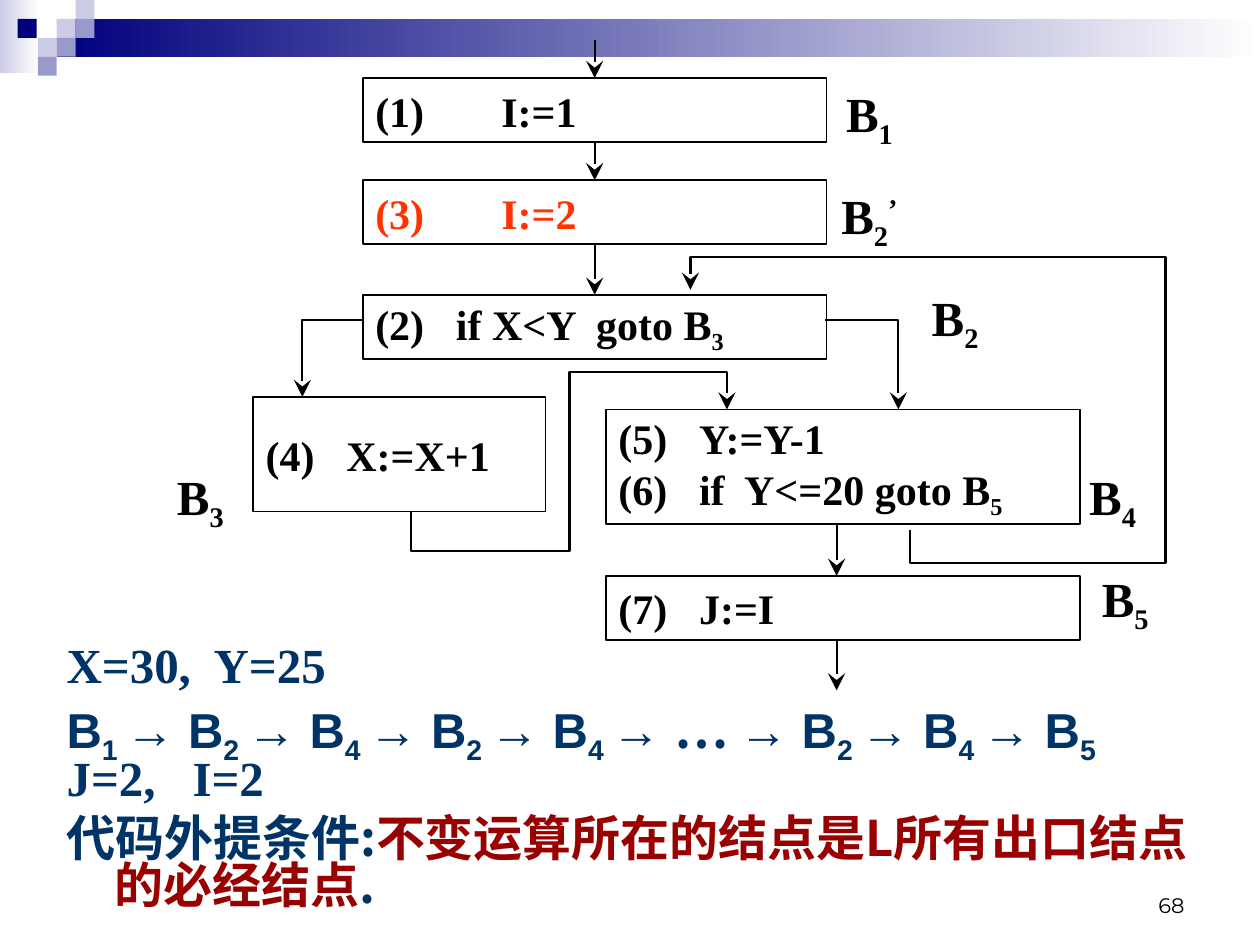
from dataclasses import dataclass

from lxml import etree
from pptx import Presentation
from pptx.dml.color import RGBColor
from pptx.enum.shapes import MSO_CONNECTOR, MSO_SHAPE
from pptx.enum.text import MSO_ANCHOR, PP_ALIGN
from pptx.oxml.ns import qn
from pptx.util import Inches, Pt

RECT, STRAIGHT = MSO_SHAPE.RECTANGLE, MSO_CONNECTOR.STRAIGHT
TOP, MIDDLE, BOTTOM = MSO_ANCHOR.TOP, MSO_ANCHOR.MIDDLE, MSO_ANCHOR.BOTTOM
LEFT, CENTER, RIGHT = PP_ALIGN.LEFT, PP_ALIGN.CENTER, PP_ALIGN.RIGHT
SIDE_TOP, SIDE_BOTTOM = 0, 2

BLACK = RGBColor(0x00, 0x00, 0x00)
WHITE = RGBColor(0xFF, 0xFF, 0xFF)
NAVY = RGBColor(0x00, 0x00, 0x7D)
LILAC = RGBColor(0xCC, 0xCC, 0xE6)
VIOLET = RGBColor(0x99, 0x99, 0xCC)
ORANGE = RGBColor(0xFF, 0x33, 0x00)
TEAL = RGBColor(0x00, 0x33, 0x66)
RED = RGBColor(0x99, 0x00, 0x00)

SERIF, SANS, CJK = "Times New Roman", "Arial", "Noto Sans CJK SC"
NUMBER_FONT = "Montserrat"
SUB, SUPER = -25000, 30000


@dataclass
class Run:
    text: str
    color: RGBColor = BLACK
    font: str = SERIF
    base: int = 0


@dataclass
class Block:
    x: float
    y: float
    w: float
    h: float
    lines: list
    tab: float = 0.64
    color: RGBColor = BLACK


@dataclass
class Label:
    x: float
    y: float
    runs: list


@dataclass
class Note:
    runs: list
    before: float = 7
    hanging: float = 0


def marked(text, color=BLACK, font=SERIF):
    """Split text at bars; every second piece is a subscript."""
    return [Run(piece, color, font, SUB if i % 2 else 0)
            for i, piece in enumerate(text.split("|")) if piece]


def add_runs(p, runs, size, bold=True):
    for item in runs:
        r = p.add_run()
        r.text = item.text
        r.font.size, r.font.bold = Pt(size), bold
        r.font.name, r.font.color.rgb = item.font, item.color
        rPr = r.font._element
        if item.base:
            rPr.set("baseline", str(item.base))
        if item.font == CJK:
            etree.SubElement(rPr, qn("a:ea")).set("typeface", CJK)


def set_tab(p, position):
    tabs = etree.SubElement(p._p.get_or_add_pPr(), qn("a:tabLst"))
    etree.SubElement(tabs, qn("a:tab"), pos=str(Inches(position)), algn="l")


def add_text_box(s, x, y, w, h, anchor, wrap=True):
    tf = s.shapes.add_textbox(Inches(x), Inches(y), Inches(w), Inches(h)).text_frame
    tf.word_wrap, tf.vertical_anchor = wrap, anchor
    return tf


def add_label(s, label):
    tf = add_text_box(s, label.x, label.y, 0.52, 0.61, MIDDLE, wrap=False)
    tf.margin_left = tf.margin_right = 0
    p = tf.paragraphs[0]
    p.alignment = CENTER
    add_runs(p, label.runs, 28)


def add_rect(s, x, y, w, h):
    sp = s.shapes.add_shape(RECT, Inches(x), Inches(y), Inches(w), Inches(h))
    sp.shadow.inherit = False
    return sp


def add_gradient(s, x, y, w, h, color):
    sp = add_rect(s, x, y, w, h)
    sp.line.fill.background()
    sp.fill.gradient()
    sp.fill.gradient_angle = 0
    for stop, rgb in zip(sp.fill.gradient_stops, (color, WHITE)):
        stop.color.rgb = rgb


def add_block(s, block):
    sp = add_rect(s, block.x, block.y, block.w, block.h)
    sp.fill.background()
    sp.line.color.rgb, sp.line.width = BLACK, Pt(1)
    tf = sp.text_frame
    tf.word_wrap, tf.vertical_anchor = True, MIDDLE
    for i, line in enumerate(block.lines):
        p = tf.add_paragraph() if i else tf.paragraphs[0]
        p.alignment = LEFT
        set_tab(p, block.tab)
        add_runs(p, marked(line, block.color), 24)
    return sp


def style_arrow(sp):
    sp.line.color.rgb, sp.line.width = BLACK, Pt(1.25)
    etree.SubElement(sp.line._get_or_add_ln(), qn("a:tailEnd"),
                     type="stealth", w="lg", len="lg")


def add_arrow(s, x, y1, y2, start=None, end=None):
    cx = s.shapes.add_connector(STRAIGHT, Inches(x), Inches(y1), Inches(x), Inches(y2))
    if start is not None:
        cx.begin_connect(start, SIDE_BOTTOM)
    if end is not None:
        cx.end_connect(end, SIDE_TOP)
    style_arrow(cx)
    etree.SubElement(cx._element.spPr, qn("a:effectLst"))


def add_bent_arrow(s, points):
    start, *rest = [(Inches(x), Inches(y)) for x, y in points]
    fb = s.shapes.build_freeform(*start)
    fb.add_line_segments(rest, close=False)
    sp = fb.convert_to_shape()
    sp.shadow.inherit = False
    sp.fill.background()
    style_arrow(sp)


BLOCKS = {
    "B1": Block(2.88, 0.62, 3.68, 0.51, ["(1)\tI:=1"], tab=1),
    "B2'": Block(2.88, 1.43, 3.68, 0.51, ["(3)\tI:=2"], tab=1, color=ORANGE),
    "B2": Block(2.88, 2.34, 3.68, 0.51, ["(2)\tif X<Y  goto B|3"]),
    "B3": Block(2.01, 3.15, 2.32, 0.91, ["(4)\tX:=X+1"]),
    "B4": Block(4.81, 3.25, 3.76, 0.91, ["(5)\tY:=Y-1", "(6)\tif  Y<=20 goto B|5"]),
    "B5": Block(4.81, 4.57, 3.76, 0.51, ["(7)\tJ:=I"]),
}
LABELS = [
    Label(6.64, 0.62, marked("B|1")),
    Label(6.64, 1.43, marked("B|2") + [Run("’", base=SUPER)]),
    Label(7.32, 2.24, marked("B|2")),
    Label(1.33, 3.66, marked("B|3")),
    Label(8.57, 3.66, marked("B|4")),
    Label(8.67, 4.47, marked("B|5")),
]
BENT_ARROWS = [
    [(2.88, 2.54), (2.4, 2.54), (2.4, 3.15)],
    [(6.55, 2.54), (7.13, 2.54), (7.13, 3.25)],
    [(7.22, 4.21), (7.22, 4.47), (9.25, 4.47), (9.25, 2.04), (5.48, 2.04), (5.48, 2.3)],
    [(3.26, 4.06), (3.26, 4.37), (4.52, 4.37), (4.52, 2.95), (5.77, 2.95), (5.77, 3.25)],
]
NOTES = [
    Note([Run("X=30,  Y=25", TEAL)]),
    Note(marked("B|1 |→ B|2 |→ B|4 |→ B|2 |→ B|4 |→ ", TEAL, SANS)
         + [Run("… ", TEAL, CJK)]
         + marked("→ B|2 |→ B|4 |→ B|5", TEAL, SANS)),
    Note([Run("J=2,\tI=2", TEAL)], before=0),
    Note([Run("代码外提条件:", TEAL, CJK),
          Run("不变运算所在的结点是L所有出口结点的必经结点", RED, CJK),
          Run(".", TEAL, CJK)], hanging=0.38),
]
# Corner squares: left, top, colour
SQUARES = [(0.45, 0.15, LILAC), (0.6, 0, LILAC), (0.6, 0.15, VIOLET), (0.3, 0.3, LILAC),
           (0.14, 0.15, NAVY), (0.45, 0.3, VIOLET), (0.3, 0.45, VIOLET)]


def main():
    prs = Presentation()
    prs.slide_width, prs.slide_height = Inches(10), Inches(7.5)
    s = prs.slides.add_slide(prs.slide_layouts[6])

    # Header decoration
    add_gradient(s, 0, 0, 0.31, 0.58, LILAC)
    add_gradient(s, 0.45, 0.15, 9.55, 0.3, NAVY)
    for x, y, color in SQUARES:
        sp = add_rect(s, x, y, 0.15, 0.15)
        sp.fill.solid()
        sp.fill.fore_color.rgb = color
        sp.line.fill.background()

    # Flow graph
    boxes = {name: add_block(s, block) for name, block in BLOCKS.items()}
    for label in LABELS:
        add_label(s, label)
    add_arrow(s, 4.72, 0.32, 0.62, end=boxes["B1"])
    add_arrow(s, 4.72, 1.13, 1.43, boxes["B1"], boxes["B2'"])
    add_arrow(s, 4.72, 1.94, 2.34, boxes["B2'"], boxes["B2"])
    add_arrow(s, 6.64, 4.17, 4.57)
    add_arrow(s, 6.64, 5.08, 5.48)
    for points in BENT_ARROWS:
        add_bent_arrow(s, points)

    # Execution trace and conclusion
    tf = add_text_box(s, 0.43, 5.08, 9.21, 2.21, TOP)
    for i, note in enumerate(NOTES):
        p = tf.add_paragraph() if i else tf.paragraphs[0]
        p.line_spacing, p.space_before = 0.8, Pt(note.before)
        pPr = p._p.get_or_add_pPr()
        pPr.set("marL", str(Inches(note.hanging)))
        pPr.set("indent", str(-Inches(note.hanging)))
        add_runs(p, note.runs, 28)

    # Page number
    p = add_text_box(s, 7.17, 6.83, 2.33, 0.5, BOTTOM).paragraphs[0]
    p.alignment = RIGHT
    add_runs(p, [Run("68", font=NUMBER_FONT)], 12, bold=False)

    prs.save("out.pptx")


if __name__ == "__main__":
    main()
